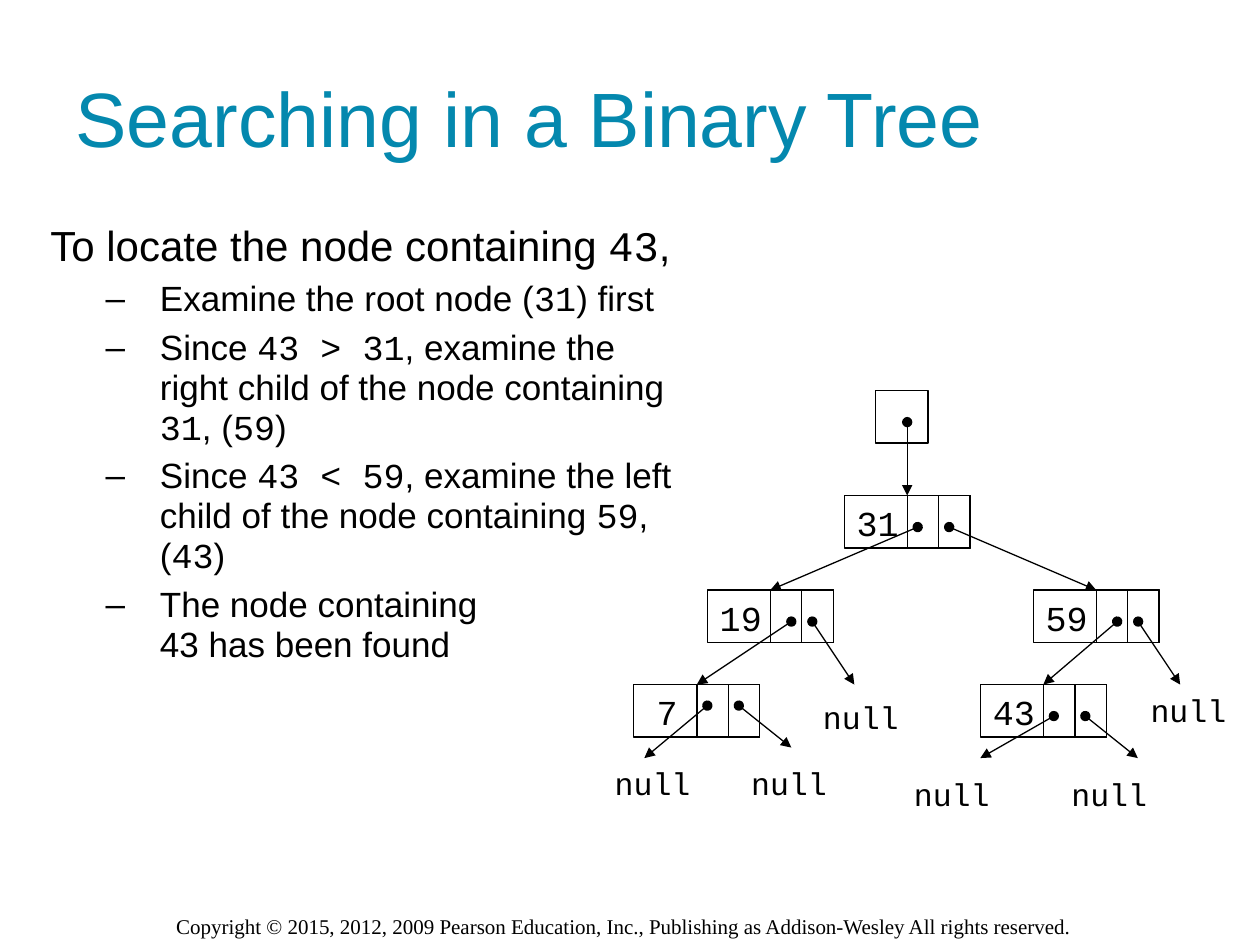
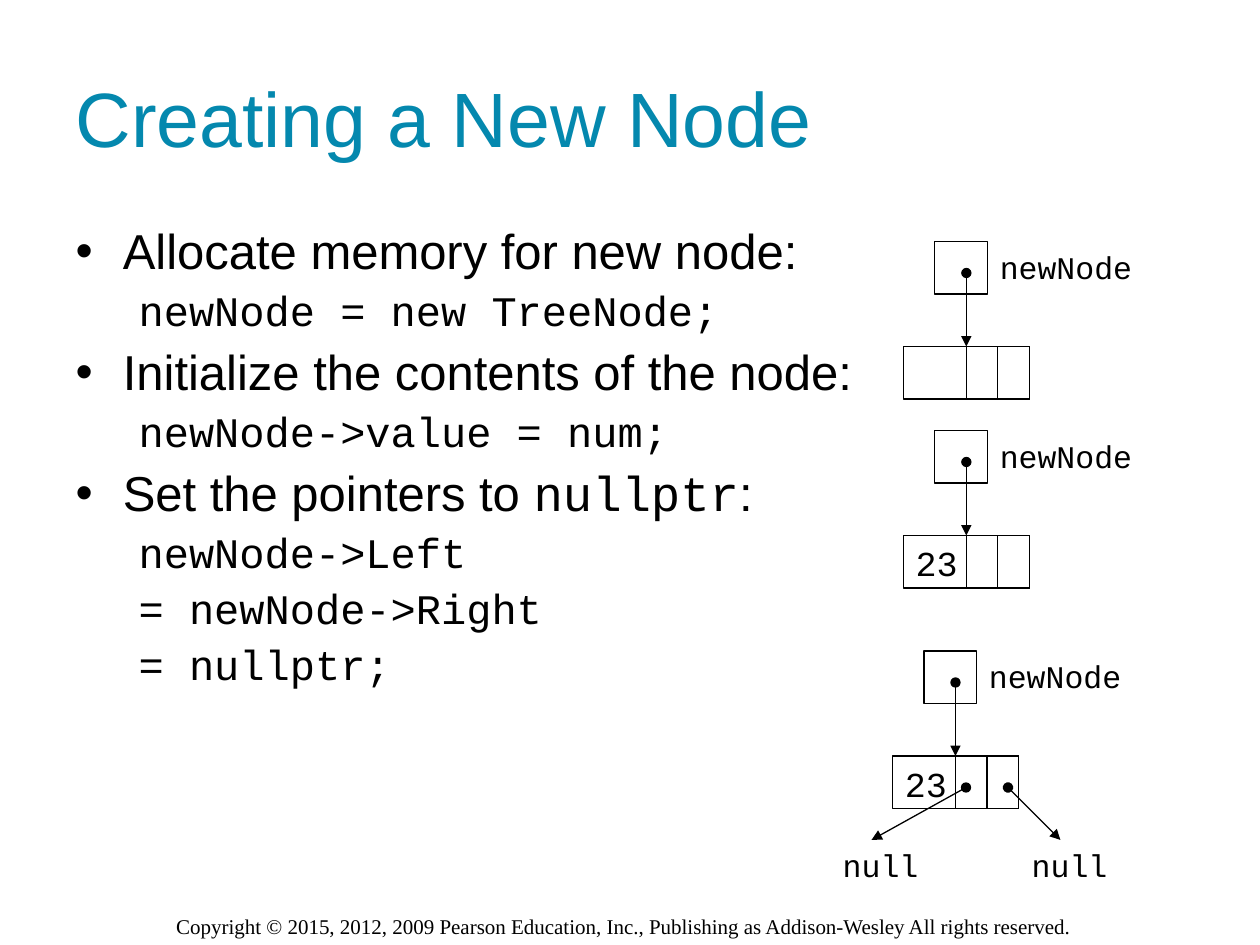
from dataclasses import dataclass
from typing import Optional

from lxml.etree import SubElement
from pptx import Presentation
from pptx.dml.color import RGBColor
from pptx.enum.shapes import MSO_CONNECTOR as Line, MSO_SHAPE as Kind
from pptx.enum.text import MSO_ANCHOR as Anchor, MSO_AUTO_SIZE as Fit, PP_ALIGN as Align
from pptx.oxml.ns import qn
from pptx.util import Pt

COLORS = {"title": "0488AE", "ink": "000000"}
SANS, MONO, SERIF = "Arial", "Courier New", "Times New Roman"
CELL, SIDE = 18, 30  # pointer cell width, box height
WIDE = 4 * CELL      # node width
FOOT = ("Copyright © 2015, 2012, 2009 Pearson Education, Inc., "
        "Publishing as Addison-Wesley All rights reserved.")


@dataclass
class Style:
    """Look of one kind of list item."""
    size: float
    left: float
    hang: float
    before: float
    lines: float
    level: int = 0
    mark: str = ""
    font: str = SANS


@dataclass
class Node:
    """Tree node: a value and two pointer cells."""
    x: float
    y: float
    value: str = ""


@dataclass
class Link:
    """Arrow from a node; all offsets count from the node's corner."""
    node: str
    x: float
    y: float
    child: str = ""
    tip: tuple[float, float] = (0, 0)
    null: Optional[tuple[float, float]] = None


LEAD = Style(24, 9.4, 0, 7, 0.95)
STEP = Style(20, 72, -31, 5, 0.95, 1, "–")
POINT = Style(28, 27, -27, 7, 0.9, 0, "•")
CODE = Style(24, 36, 0, 6, 0.9, 1, "", MONO)


def color(name: str) -> RGBColor:
    return RGBColor.from_string(COLORS[name])


def set_font(font, name: str, size: float, ink: str = "ink") -> None:
    font.name, font.size, font.color.rgb = name, Pt(size), color(ink)


# Shared slide parts
def add_page(deck, title: str):
    page = deck.slides.add_slide(deck.slide_layouts[1])
    head = page.shapes.title
    place(head, 36, 21.6, 648, 90)
    head.text_frame.text = title
    head.text_frame.vertical_anchor = Anchor.MIDDLE
    para = head.text_frame.paragraphs[0]
    para.alignment = Align.LEFT
    set_font(para.font, SANS, 44, "title")
    add_text(page, FOOT, 93.6, 518.4, 12, SERIF, 534.2)
    return page


def place(shape, x: float, y: float, w: float, h: float) -> None:
    shape.left, shape.top, shape.width, shape.height = Pt(x), Pt(y), Pt(w), Pt(h)
    shape.text_frame.auto_size = Fit.NONE


def add_text(page, text: str, x: float, y: float, size: float,
             font: str = MONO, width: float = 0) -> None:
    """Write a label; without a width it fits the monospaced text."""
    room = width or len(text) * size * 0.6 + 14.4
    box = page.shapes.add_textbox(Pt(x), Pt(y), Pt(room), Pt(size * 1.2 + 7.2))
    frame = box.text_frame
    frame.word_wrap = bool(width)
    frame.text = text
    set_font(frame.paragraphs[0].font, font, size)


# Lists: text between backticks is monospaced
def fill_list(page, items: list[tuple[Style, str]], area: tuple, top: float = 3.6) -> None:
    body = page.placeholders[1]
    place(body, *area)
    frame = body.text_frame
    frame.margin_top = Pt(top)
    for i, (style, text) in enumerate(items):
        para = frame.add_paragraph() if i else frame.paragraphs[0]
        para.level, para.line_spacing = style.level, style.lines
        para.space_before = Pt(style.before if i else 0)
        props = para._p.get_or_add_pPr()
        props.set("marL", str(Pt(style.left)))
        props.set("indent", str(Pt(style.hang)))
        if style.mark:
            SubElement(props, qn("a:buChar")).set("char", style.mark)
        else:
            SubElement(props, qn("a:buNone"))
        set_font(para.font, style.font, style.size)
        for j, part in enumerate(text.split("`")):
            for k, line in enumerate(part.split("\n")):
                if k:
                    para.add_line_break()
                if line:
                    run = para.add_run()
                    run.text = line
                    if j % 2:
                        run.font.name = MONO


# Tree parts
def add_box(page, x: float, y: float, width: float):
    box = page.shapes.add_shape(Kind.RECTANGLE, Pt(x), Pt(y), Pt(width), Pt(SIDE))
    box.shadow.inherit = False
    box.fill.background()
    box.line.color.rgb, box.line.width = color("ink"), Pt(0.75)
    return box


def add_node(page, node: Node):
    box = add_box(page, node.x, node.y, WIDE)
    for i in (2, 3):
        add_box(page, node.x + i * CELL, node.y, CELL)
    if node.value:
        shift = 6 if len(node.value) == 1 else 0
        add_text(page, node.value, node.x + shift, node.y, 20)
    return box


def add_arrow(page, x: float, y: float, tip: tuple[float, float], goal=None) -> None:
    ends = [Pt(n) for n in (x, y, *tip)]
    wire = page.shapes.add_connector(Line.STRAIGHT, *ends)
    if goal is not None:
        wire.end_connect(goal, 0)
    wire.line.color.rgb, wire.line.width = color("ink"), Pt(0.75)
    stroke = wire.line._get_or_add_ln()
    SubElement(stroke, qn("a:headEnd")).set("type", "oval")
    SubElement(stroke, qn("a:tailEnd")).set("type", "triangle")
    SubElement(wire._element.spPr, qn("a:effectLst"))


def add_root(page, node: Node, label: str = ""):
    """Draw a node and the pointer box above it."""
    x, y = node.x + CELL, node.y - 60
    add_box(page, x, y, SIDE)
    box = add_node(page, node)
    add_arrow(page, x + 18, y + 18, (node.x + WIDE / 2, node.y), box)
    if label:
        add_text(page, label, x + SIDE, y, 18)
    return box


def add_links(page, links: list[Link], nodes: dict[str, Node], boxes: dict) -> None:
    for link in links:
        node = nodes[link.node]
        if link.child:
            child = nodes[link.child]
            tip = (child.x + WIDE / 2, child.y)
        else:
            tip = (node.x + link.tip[0], node.y + link.tip[1])
        add_arrow(page, node.x + link.x, node.y + link.y, tip, boxes.get(link.child))
        if link.null:
            add_text(page, "null", node.x + link.null[0], node.y + link.null[1], 18)


# Slide 1
def search_page(deck) -> None:
    page = add_page(deck, "Searching in a Binary Tree")
    fill_list(page, [
        (LEAD, "To locate the node containing `43`,"),
        (STEP, "Examine the root node (`31`) first"),
        (STEP, "Since `43 > 31`, examine the right child of the node "
               "containing `31`, (`59`)"),
        (STEP, "Since `43 < 59`, examine the left child of the node "
               "containing `59`, (`43`)"),
        (STEP, "The node containing\n43 has been found"),
    ], (12.2, 120.2, 383, 342), 7.2)
    spots = [("31", 482.4, 283.2), ("59", 590.4, 337.2), ("19", 404.2, 337.2),
             ("7", 362.2, 391.2), ("43", 560.2, 391.2)]
    nodes = {value: Node(x, y, value) for value, x, y in spots}
    boxes = {value: (add_root if value == "31" else add_node)(page, node)
             for value, node in nodes.items()}
    add_links(page, [
        Link("31", 42, 18, "19"),
        Link("31", 60, 18, "59"),
        Link("19", 48, 18, "7"),
        Link("19", 60, 18, tip=(84, 54), null=(59, 58)),
        Link("59", 48, 18, "43"),
        Link("59", 60, 18, tip=(84, 54), null=(60, 54)),
        Link("7", 42, 12, tip=(6, 42), null=(-18, 42)),
        Link("7", 60, 12, tip=(90, 36), null=(60, 42)),
        Link("43", 42, 18, tip=(0, 42), null=(-45, 48)),
        Link("43", 60, 18, tip=(90, 42), null=(45, 48)),
    ], nodes, boxes)


# Slide 2
def create_page(deck) -> None:
    page = add_page(deck, "Creating a New Node")
    fill_list(page, [
        (POINT, "Allocate memory for new node:"),
        (CODE, "newNode = new TreeNode;"),
        (POINT, "Initialize the contents of the node:"),
        (CODE, "newNode->value = num;"),
        (POINT, "Set the pointers to `nullptr`:"),
        (CODE, "newNode->Left"),
        (CODE, "= newNode->Right"),
        (CODE, "= nullptr;"),
    ], (36, 126, 571, 324))
    last = Node(510, 432, "23")
    for node in (Node(516.2, 198), Node(516.2, 306, "23"), last):
        add_root(page, node, "newNode")
    add_links(page, [
        Link("last", 42, 18, tip=(-12, 48), null=(-35.5, 48)),
        Link("last", 66, 18, tip=(96, 48), null=(72.5, 48)),
    ], {"last": last}, {})


def main() -> None:
    deck = Presentation()
    deck.slide_width, deck.slide_height = Pt(720), Pt(540)
    search_page(deck)
    create_page(deck)
    deck.save("out.pptx")


if __name__ == "__main__":
    main()
